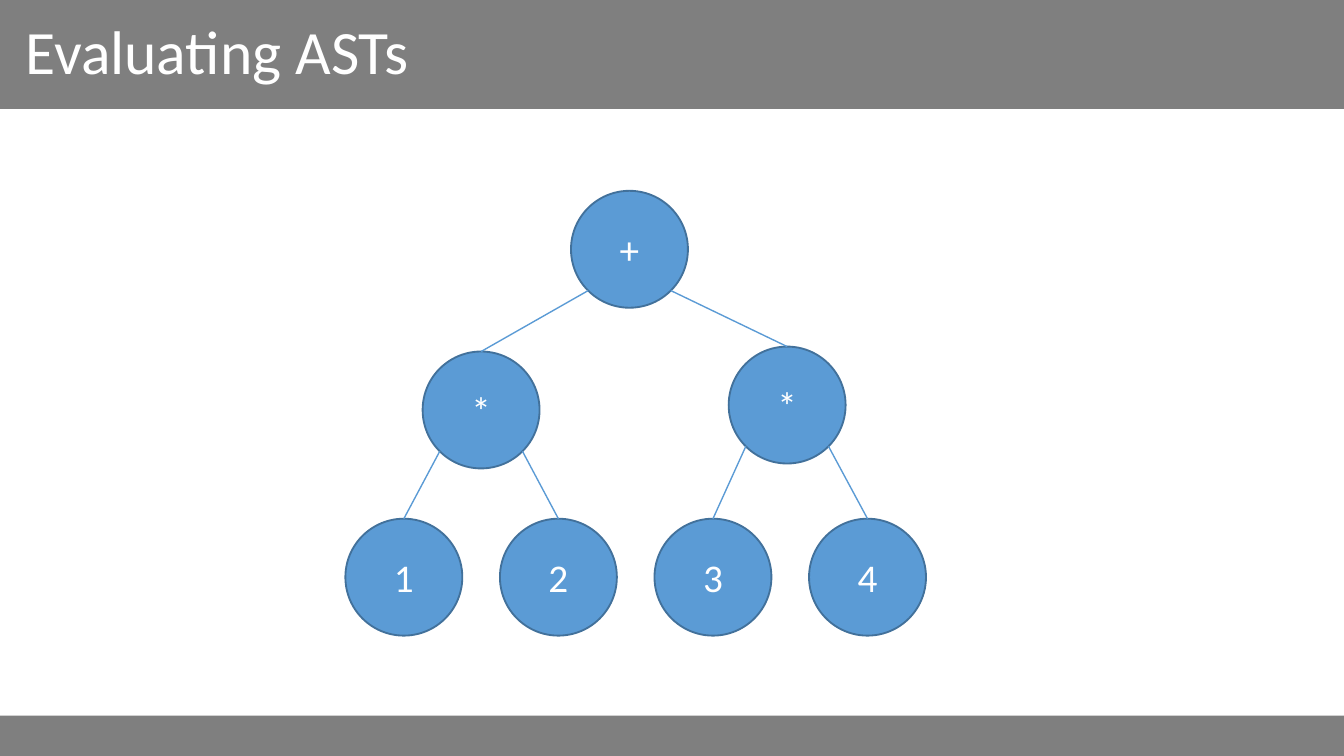
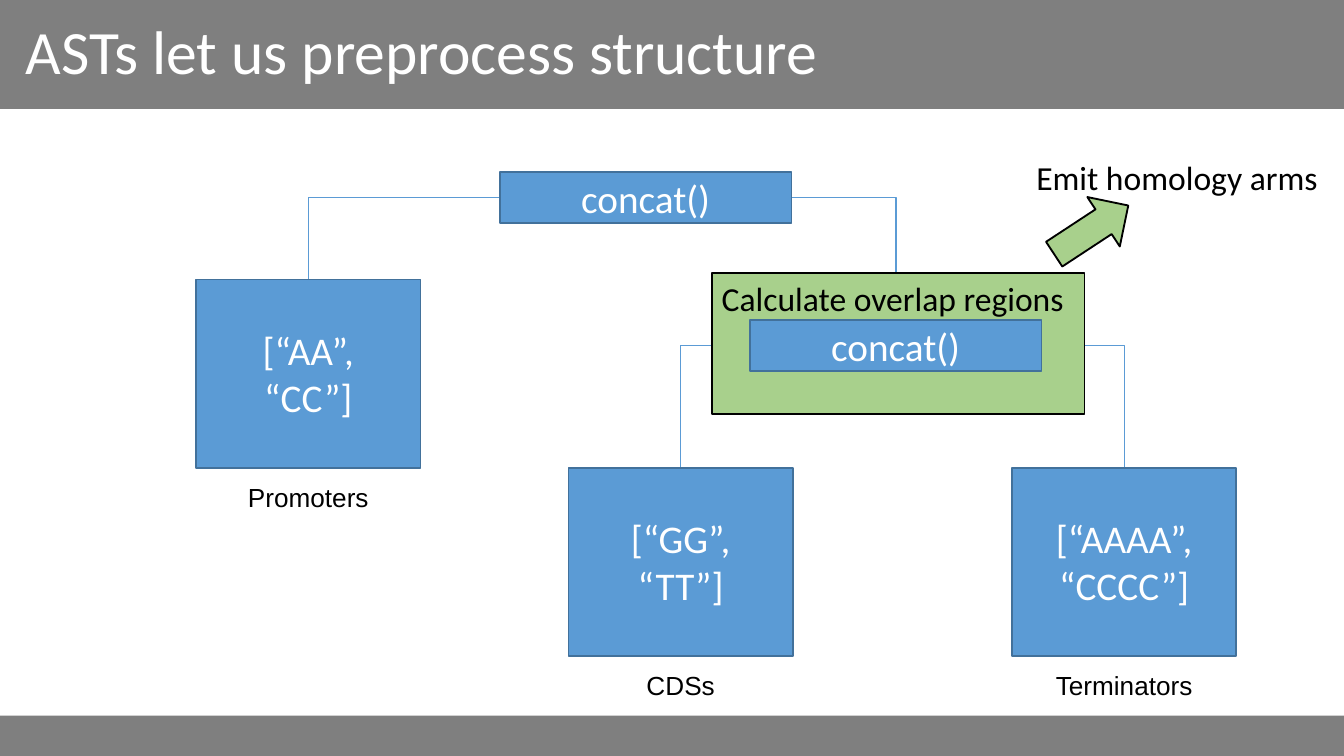
from typing import NamedTuple

from lxml.etree import SubElement
from pptx import Presentation
from pptx.dml.color import RGBColor
from pptx.enum.shapes import MSO_CONNECTOR, MSO_SHAPE
from pptx.enum.text import MSO_ANCHOR, PP_ALIGN
from pptx.oxml.ns import qn
from pptx.util import Inches, Pt

COLUMNS, ROWS = 100, 56.25
CELL = Inches(0.1)

GREY, WHITE, BLACK = "7F7F7F", "FFFFFF", "000000"
BLUE, BLUE_EDGE, GREEN = "5B9BD5", "42719B", "A8D08C"

TITLE_ONLY = 5
TITLE_BAND, FOOTER_BAND = 8.1, 3
TOP, LEFT, RIGHT = 0, 1, 3  # connection sites of a rectangle


class Box(NamedTuple):
    """A rectangle in grid cells."""
    left: float
    top: float
    width: float
    height: float

    def inner(self, left, top, width, height):
        return Box(self.left + left, self.top + top, width, height)

    def emu(self):
        return [cells(length) for length in self]


def cells(length):
    return round(length * CELL)


def color(hex_string):
    return RGBColor.from_string(hex_string)


def write(frame, text, size=21, font="Calibri", ink=WHITE, align=PP_ALIGN.CENTER,
          anchor=MSO_ANCHOR.MIDDLE, insets=(0.07, 0.04), line_spacing=None):
    """Fill a text frame, one paragraph for each line of text."""
    frame.word_wrap = True
    frame.vertical_anchor = anchor
    frame.margin_left = frame.margin_right = Inches(insets[0])
    frame.margin_top = frame.margin_bottom = Inches(insets[1])
    for number, line in enumerate(text.split("\n")):
        paragraph = frame.add_paragraph() if number else frame.paragraphs[0]
        paragraph.alignment = align
        if line_spacing:
            paragraph.line_spacing = line_spacing
        run = paragraph.add_run()
        run.text = line
        run.font.size = Pt(size)
        run.font.name = font
        run.font.color.rgb = color(ink)


def add_label(slide, box, text, **text_format):
    textbox = slide.shapes.add_textbox(*box.emu())
    write(textbox.text_frame, text, anchor=MSO_ANCHOR.TOP, ink=BLACK, **text_format)


def add_shape(slide, kind, box, fill=BLUE, edge=BLUE_EDGE, text=None):
    shape = slide.shapes.add_shape(kind, *box.emu())
    shape.shadow.inherit = False
    shape.fill.solid()
    shape.fill.fore_color.rgb = color(fill)
    if edge:
        shape.line.color.rgb = color(edge)
        shape.line.width = Pt(1)
    else:
        shape.line.fill.background()
    if text:
        write(shape.text_frame, text)
    return shape


def add_line(slide, kind, start=(0, 0), end=(0, 0)):
    points = [cells(length) for length in (*start, *end)]
    connector = slide.shapes.add_connector(kind, *points)
    connector.line.color.rgb = color(BLUE)
    connector.line.width = Pt(0.75)
    SubElement(connector.element.spPr, qn("a:effectLst"))
    return connector


def add_branch(slide, parent, side, child):
    """Join a parent's side to a child's top with one bend, behind all boxes."""
    connector = add_line(slide, MSO_CONNECTOR.ELBOW)
    connector.begin_connect(parent, side)
    connector.end_connect(child, TOP)
    connector.element.spPr.find(qn("a:prstGeom")).set("prst", "bentConnector2")
    slide.shapes.element.insert(2, connector.element)


def add_master_bands(presentation, slide):
    """Draw the bands on a slide, then move them to the master."""
    tree = presentation.slide_master.shapes.element
    for top, height in ((0, TITLE_BAND), (ROWS - FOOTER_BAND, FOOTER_BAND)):
        band = add_shape(slide, MSO_SHAPE.RECTANGLE, Box(0, top, COLUMNS, height),
                         fill=GREY, edge=None)
        tree.insert(2, band.element)


def add_titled_slide(presentation, text):
    slide = presentation.slides.add_slide(presentation.slide_layouts[TITLE_ONLY])
    title = slide.shapes.title
    title.left, title.top, title.width, title.height = Box(1.2, 0, 97.7, TITLE_BAND).emu()
    write(title.text_frame, text, size=33, align=PP_ALIGN.LEFT, line_spacing=0.9)
    return slide


def add_expression_tree(slide, area):
    """Place nodes by leaf column and level; each names its parent."""
    diameter = 8.7
    column_step = (area.width - diameter) / 3
    level_step = (area.height - diameter) / 2
    nodes = [
        ("+", 1.46, 0, None),
        ("*", 0.5, 0.98, 0),
        ("*", 2.48, 0.95, 0),
        ("1", 0, 2, 1),
        ("2", 1, 2, 1),
        ("3", 2, 2, 2),
        ("4", 3, 2, 2),
    ]
    boxes = [area.inner(column * column_step, level * level_step, diameter, diameter)
             for _, column, level, _ in nodes]
    for (text, _, _, _), box in zip(nodes, boxes):
        add_shape(slide, MSO_SHAPE.OVAL, box, text=text)

    radius = diameter / 2
    diagonal = radius * 0.5 ** 0.5
    for (_, _, _, parent), child in zip(nodes, boxes):
        if parent is None:
            continue
        origin = boxes[parent]
        reach = diagonal if child.left > origin.left else -diagonal
        add_line(slide, MSO_CONNECTOR.STRAIGHT,
                 (origin.left + radius + reach, origin.top + radius + diagonal),
                 (child.left + radius, child.top))


def add_sequence_list(slide, area, left, top, text, caption):
    box = area.inner(left, top, 16.7, 14)
    add_label(slide, box.inner(0, box.height, box.width, 4.1), caption,
              size=14, font="Arial", insets=(0.1, 0.1))
    return add_shape(slide, MSO_SHAPE.RECTANGLE, box, text=text)


def add_concat(slide, area, left, top):
    return add_shape(slide, MSO_SHAPE.RECTANGLE, area.inner(left, top, 21.7, 3.8),
                     text="concat()")


def add_overlap_step(slide, area):
    """Draw the green step with its output arrow, and return its concat box."""
    note = {"size": 18, "align": PP_ALIGN.LEFT}
    step = area.inner(38.4, 9, 27.7, 10.5)
    add_shape(slide, MSO_SHAPE.RECTANGLE, step, fill=GREEN, edge=BLACK)
    concat = add_concat(slide, step, 2.8, 3.5)
    add_label(slide, step.inner(0, 0, step.width, 3.8), "Calculate overlap regions", **note)
    arrow = add_shape(slide, MSO_SHAPE.RIGHT_ARROW, area.inner(63.3, 3.6, 6.6, 4.4),
                      fill=GREEN, edge=BLACK)
    arrow.rotation = 326.7
    add_label(slide, area.inner(61.8, 0, 22.5, 3.8), "Emit homology arms", **note)
    return concat


def add_concat_tree(slide, area):
    root = add_concat(slide, area, 22.6, 1.5)
    overlap = add_overlap_step(slide, area)
    promoters = add_sequence_list(slide, area, 0, 9.5, "[“AA”,\n“CC”]", "Promoters")
    coding = add_sequence_list(slide, area, 27.7, 23.5, "[“GG”,\n“TT”]", "CDSs")
    terminators = add_sequence_list(slide, area, 60.7, 23.5, "[“AAAA”,\n“CCCC”]",
                                    "Terminators")
    for parent, left_child, right_child in ((root, promoters, overlap),
                                            (overlap, coding, terminators)):
        add_branch(slide, parent, LEFT, left_child)
        add_branch(slide, parent, RIGHT, right_child)


def main():
    presentation = Presentation()
    presentation.slide_width = cells(COLUMNS)
    presentation.slide_height = cells(ROWS)

    evaluating = add_titled_slide(presentation, "Evaluating ASTs")
    add_master_bands(presentation, evaluating)
    add_expression_tree(evaluating, Box(25.7, 14.2, 43.2, 33.1))

    preprocessing = add_titled_slide(presentation, "ASTs let us preprocess structure")
    add_concat_tree(preprocessing, Box(14.6, 11.3, 84.3, 41.6))

    presentation.save("out.pptx")


if __name__ == "__main__":
    main()
